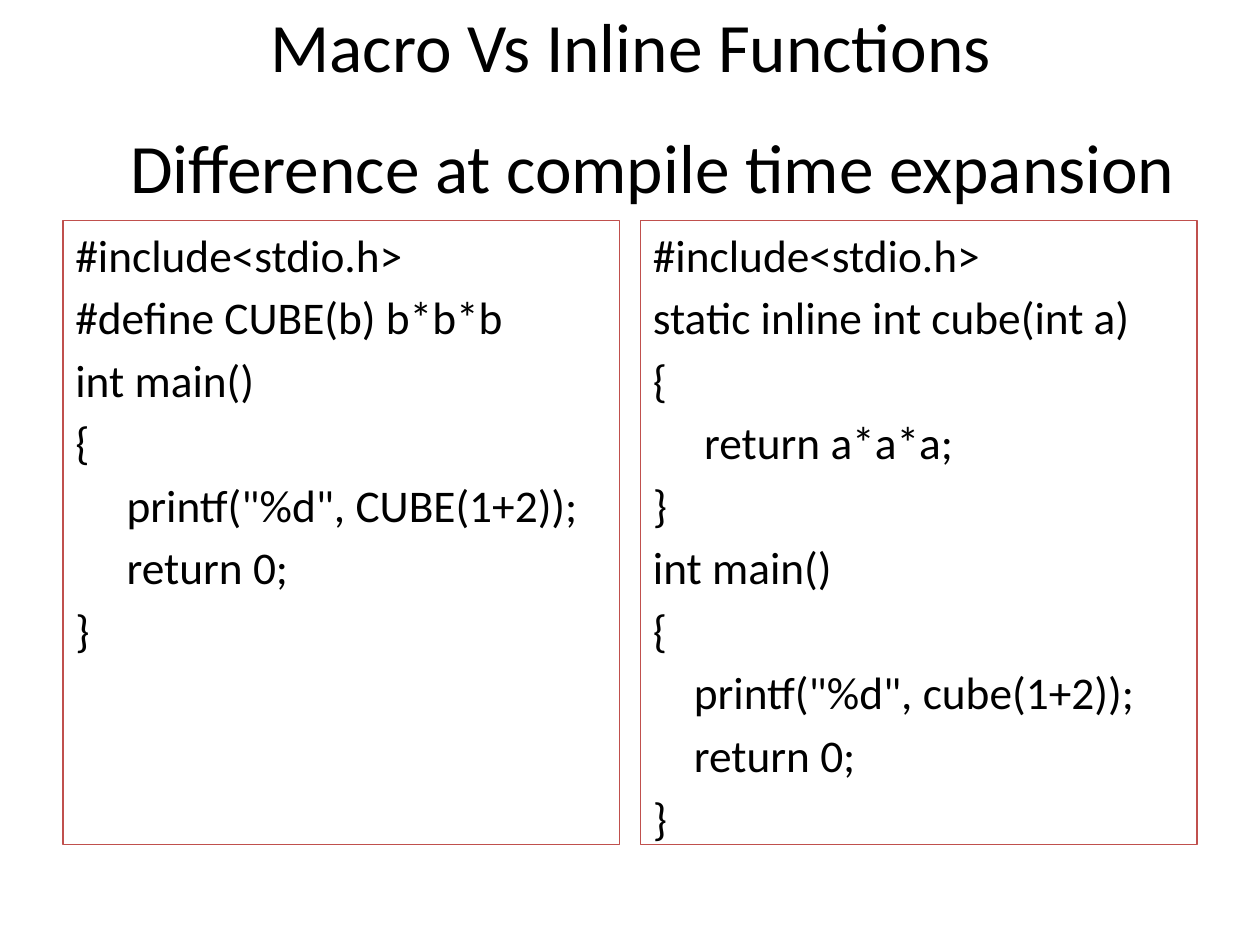
from pptx import Presentation
from pptx.dml.color import RGBColor
from pptx.enum.shapes import MSO_SHAPE
from pptx.enum.text import MSO_ANCHOR, PP_ALIGN
from pptx.util import Pt

BLACK = RGBColor(0x00, 0x00, 0x00)
RED = RGBColor(0xC0, 0x50, 0x4D)
FACE = "Calibri"

# Each code line is its indent in spaces and its text
MACRO = [
    (0, "#include<stdio.h>"),
    (0, "#define CUBE(b) b*b*b"),
    (0, "int main()"),
    (0, "{"),
    (5, 'printf("%d", CUBE(1+2));'),
    (5, "return 0;"),
    (0, "}"),
]
INLINE = [
    (0, "#include<stdio.h>"),
    (0, "static inline int cube(int a)"),
    (0, "{"),
    (5, "return a*a*a;"),
    (0, "}"),
    (0, "int main()"),
    (0, "{"),
    (4, 'printf("%d", cube(1+2));'),
    (4, "return 0;"),
    (0, "}"),
]
SPACE = 5.86  # width of one space at the code size


def set_font(para, size):
    para.font.name = FACE
    para.font.size = Pt(size)
    para.font.color.rgb = BLACK


def add_title(slide, text, left, top):
    box = slide.shapes.add_textbox(Pt(left), Pt(top), Pt(648), Pt(46.8))
    frame = box.text_frame
    frame.word_wrap = True
    frame.vertical_anchor = MSO_ANCHOR.MIDDLE
    para = frame.paragraphs[0]
    para.text = text
    para.alignment = PP_ALIGN.CENTER
    set_font(para, 39.6)


def add_code(slide, lines, left):
    box = slide.shapes.add_shape(
        MSO_SHAPE.RECTANGLE, Pt(left), Pt(126), Pt(318), Pt(356.4))
    box.shadow.inherit = False
    box.fill.background()
    box.line.color.rgb = RED
    box.line.width = Pt(0.75)

    frame = box.text_frame
    frame.word_wrap = True
    frame.vertical_anchor = MSO_ANCHOR.TOP
    frame.text = "\n".join(text for _, text in lines)
    for para, (depth, _) in zip(frame.paragraphs, lines):
        para.alignment = PP_ALIGN.LEFT
        para.space_before = Pt(4.65)
        set_font(para, 25.9)
        if depth:
            props = para._p.get_or_add_pPr()
            props.set("marL", str(Pt(depth * SPACE)))


def main():
    deck = Presentation()
    deck.slide_width, deck.slide_height = Pt(720), Pt(540)
    slide = deck.slides.add_slide(deck.slide_layouts[6])

    # Headings
    add_title(slide, "Macro Vs Inline Functions", 36.5, 2.2)
    add_title(slide, "Difference at compile time expansion", 49, 71.3)

    # Code side by side
    add_code(slide, MACRO, 36)
    add_code(slide, INLINE, 366)

    deck.save("out.pptx")


if __name__ == "__main__":
    main()
